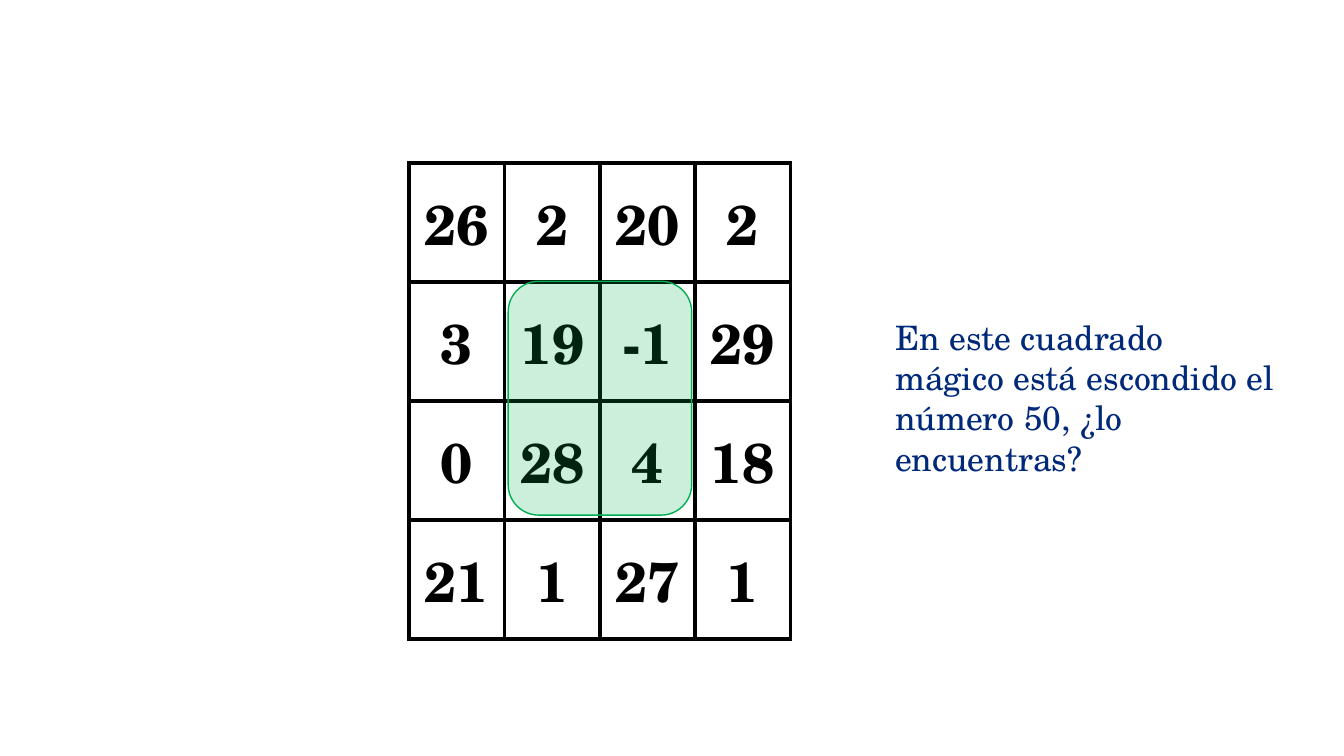
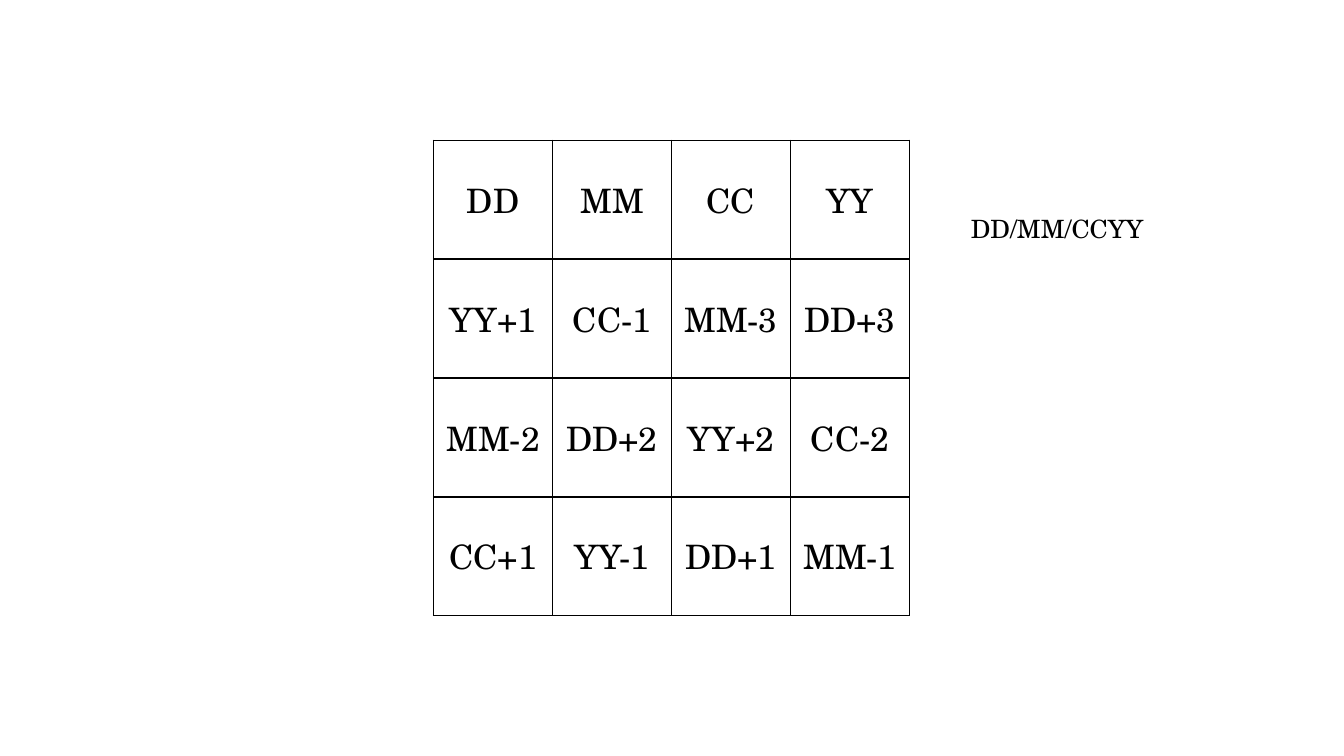
from dataclasses import dataclass

from lxml import etree
from pptx import Presentation
from pptx import util as u
from pptx.dml import color as dml
from pptx.enum import shapes, text
from pptx.oxml import ns

FONT = "TeX Gyre Schola"
BLACK = "000000"
NAVY = "00297A"
GREEN = "00B050"
ROW_HEIGHT = 1.18


@dataclass(frozen=True)
class MagicSquare:
    left: float
    top: float
    column_width: float
    size: int
    bold: bool
    border: float
    rows: tuple[str, ...]


@dataclass(frozen=True)
class Caption:
    left: float
    top: float
    width: float
    height: float
    words: str
    size: int
    color: str


NUMBERS = MagicSquare(4.06, 1.62, 0.945, 40, True, 3, (
    "26 2 20 2",
    "3 19 -1 29",
    "0 28 4 18",
    "21 1 27 1",
))
FORMULAS = MagicSquare(4.3, 1.39, 1.18, 24, False, 1, (
    "DD MM CC YY",
    "YY+1 CC-1 MM-3 DD+3",
    "MM-2 DD+2 YY+2 CC-2",
    "CC+1 YY-1 DD+1 MM-1",
))
QUESTION = Caption(
    8.78, 3.09, 4.02, 1.31,
    "En este cuadrado mágico está escondido el número 50, ¿lo encuentras?",
    24, NAVY,
)
DATE_FORMAT = Caption(9.53, 2.07, 2.61, 0.4, "DD/MM/CCYY", 18, BLACK)


def rgb(value: str) -> dml.RGBColor:
    return dml.RGBColor.from_string(value)


def add_run(paragraph, words: str, size: int, color: str, bold: bool = False) -> None:
    run = paragraph.add_run()
    run.text = words
    run.font.name = FONT
    run.font.size = u.Pt(size)
    run.font.bold = bold
    run.font.color.rgb = rgb(color)


def set_borders(cell, width: float, color: str) -> None:
    properties = cell._tc.get_or_add_tcPr()
    for index, side in enumerate(("lnL", "lnR", "lnT", "lnB")):
        line = etree.Element(ns.qn(f"a:{side}"), w=str(u.Pt(width)))
        fill = etree.SubElement(line, ns.qn("a:solidFill"))
        etree.SubElement(fill, ns.qn("a:srgbClr"), val=color)
        properties.insert(index, line)


def add_square(slide, square: MagicSquare) -> None:
    rows = [row.split() for row in square.rows]
    count = len(rows)
    frame = slide.shapes.add_table(
        count, count, u.Inches(square.left), u.Inches(square.top),
        u.Inches(square.column_width * count), u.Inches(ROW_HEIGHT * count),
    )
    table = frame.table
    table.first_row = False
    table.horz_banding = False
    for row_index, row in enumerate(rows):
        for column_index, words in enumerate(row):
            cell = table.cell(row_index, column_index)
            cell.fill.background()
            cell.vertical_anchor = text.MSO_ANCHOR.MIDDLE
            set_borders(cell, square.border, BLACK)
            paragraph = cell.text_frame.paragraphs[0]
            paragraph.alignment = text.PP_ALIGN.CENTER
            add_run(paragraph, words, square.size, BLACK, square.bold)


def add_caption(slide, caption: Caption) -> None:
    box = slide.shapes.add_textbox(
        u.Inches(caption.left), u.Inches(caption.top),
        u.Inches(caption.width), u.Inches(caption.height),
    )
    frame = box.text_frame
    frame.word_wrap = True
    frame.auto_size = text.MSO_AUTO_SIZE.SHAPE_TO_FIT_TEXT
    add_run(frame.paragraphs[0], caption.words, caption.size, caption.color)


def add_highlight(slide) -> None:
    shape = slide.shapes.add_shape(
        shapes.MSO_SHAPE.ROUNDED_RECTANGLE,
        u.Inches(5.04), u.Inches(2.79), u.Inches(1.82), u.Inches(2.32),
    )
    shape.shadow.inherit = False
    shape.fill.solid()
    shape.fill.fore_color.rgb = rgb(GREEN)
    fill_color = shape._element.spPr.find(f"{ns.qn('a:solidFill')}/{ns.qn('a:srgbClr')}")
    etree.SubElement(fill_color, ns.qn("a:alpha"), val="20000")
    shape.line.color.rgb = rgb(GREEN)
    shape.line.width = u.Pt(1)


def add_puzzle_slide(presentation, square: MagicSquare, caption: Caption,
                     highlighted: bool = False) -> None:
    slide = presentation.slides.add_slide(presentation.slide_layouts[6])
    add_square(slide, square)
    if highlighted:
        add_highlight(slide)
    add_caption(slide, caption)


def main() -> None:
    presentation = Presentation()
    presentation.slide_width = u.Inches(13.33)
    presentation.slide_height = u.Inches(7.5)
    add_puzzle_slide(presentation, NUMBERS, QUESTION, highlighted=True)
    add_puzzle_slide(presentation, FORMULAS, DATE_FORMAT)
    presentation.save("out.pptx")


if __name__ == "__main__":
    main()
